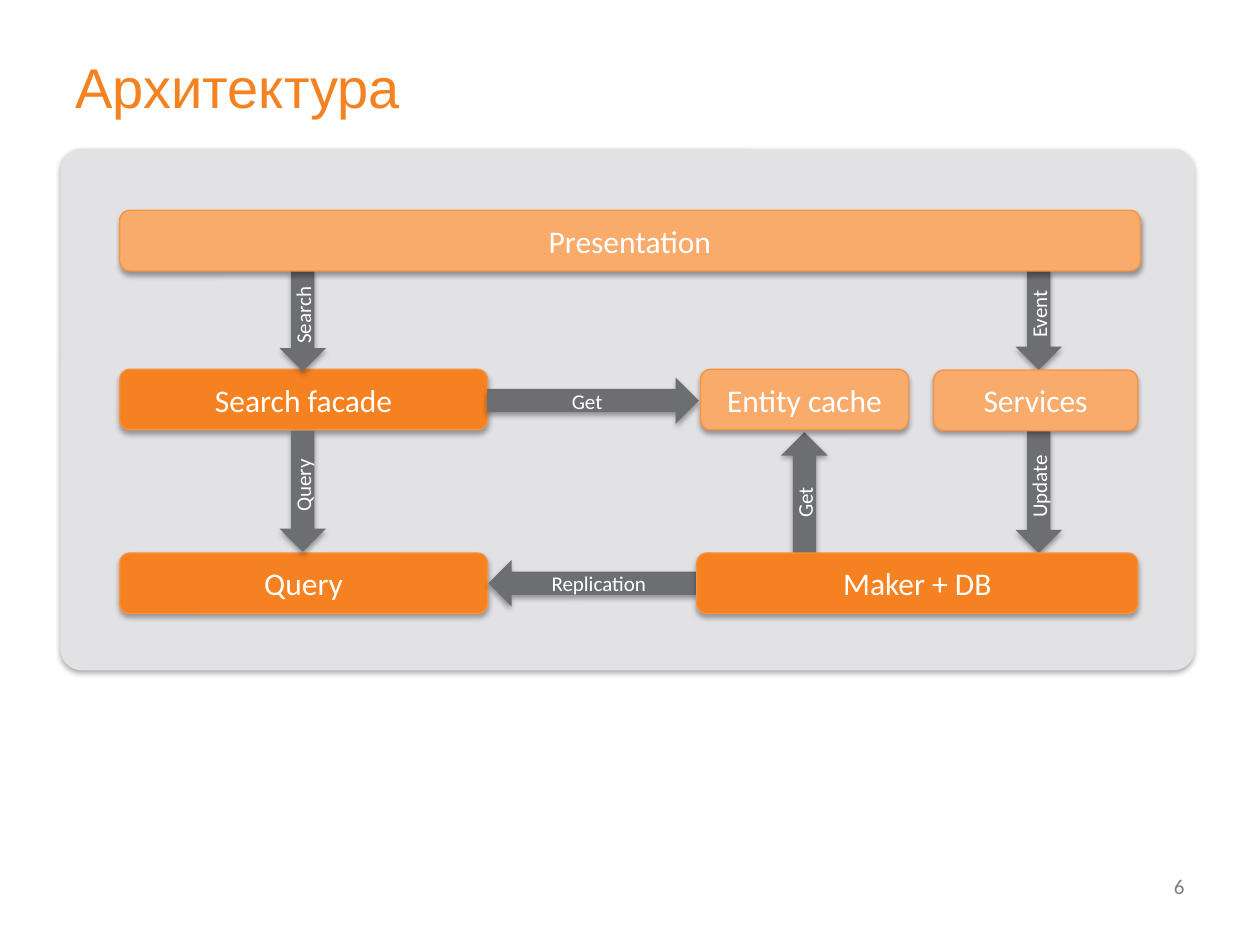
from dataclasses import dataclass

from lxml import etree
from pptx import Presentation
from pptx.dml.color import RGBColor
from pptx.enum.shapes import MSO_SHAPE
from pptx.enum.text import MSO_ANCHOR, PP_ALIGN
from pptx.oxml.ns import qn
from pptx.util import Pt

ROUNDED = MSO_SHAPE.ROUNDED_RECTANGLE
DOWN_ARROW = MSO_SHAPE.DOWN_ARROW
MIDDLE = MSO_ANCHOR.MIDDLE
LEFT, CENTER, RIGHT = PP_ALIGN.LEFT, PP_ALIGN.CENTER, PP_ALIGN.RIGHT


@dataclass(frozen=True)
class Theme:
    title: str = "F58220"
    panel: str = "E2E2E4"
    strong: str = "F68121"
    light: str = "F9AB6B"
    border: str = "F69240"
    arrow: str = "6D6E72"
    label: str = "FFFFFF"
    number: str = "7F7F7F"
    title_font: str = "Arial"
    body_font: str = "Calibri"
    title_size: float = 32
    box_size: float = 18
    small_size: float = 12


THEME = Theme()
LEFT_X, LEFT_W = 68.4, 210.2
BOX_H, ARROW_W = 34.6, 26.6
ROW_1, ROW_2, ROW_3 = 120.2, 211, 316
GAP_1 = (ROW_1 + BOX_H + ROW_2) / 2
GAP_2 = (ROW_2 + BOX_H + ROW_3) / 2
SEARCH_X, MIDDLE_X, CACHE_X, SERVICES_X = 173, 338.8, 459.7, 593.6

BACK_BOXES = [
    ("Search facade", LEFT_X, ROW_2, LEFT_W, THEME.strong),
    ("Query", LEFT_X, ROW_3, LEFT_W, THEME.strong),
]
FRONT_BOXES = [
    ("Services", 533.5, ROW_2 + 0.5, 116.6, THEME.light),
    ("Entity cache", 400.3, ROW_2, 118.8, THEME.light),
    ("Presentation", LEFT_X, ROW_1, 583.2, THEME.light),
    ("Maker + DB", 398.2, ROW_3, 252, THEME.strong),
]
ARROWS = [
    ("Event", SERVICES_X, GAP_1, 57, 0),
    ("Search", SEARCH_X, GAP_1 + 0.5, 57.6, 0),
    ("Update", SERVICES_X, GAP_2 + 0.4, 69.8, 0),
    ("Replication", MIDDLE_X, ROW_3 + BOX_H / 2, 119.5, 90),
    ("Query", SEARCH_X, GAP_2, 69.2, 0),
    ("Get", MIDDLE_X, ROW_2 + BOX_H / 2 + 0.6, 121, 270),
    ("Get", CACHE_X, 283.7, 73.4, 180),
]


def set_text(sp, text, size, color, font=THEME.body_font, align=CENTER):
    tf = sp.text_frame
    tf.word_wrap = True
    tf.vertical_anchor = MIDDLE
    p = tf.paragraphs[0]
    p.text = text
    p.alignment = align
    p.font.size = Pt(size)
    p.font.name = font
    p.font.color.rgb = RGBColor.from_string(color)


def add_shadow(sp):
    sp.shadow.inherit = False
    effects = sp._element.spPr.find(qn("a:effectLst"))
    shadow = etree.SubElement(effects, qn("a:outerShdw"), blurRad=str(Pt(3.1)),
                              dist=str(Pt(1.8)), dir="5400000", rotWithShape="0")
    color = etree.SubElement(shadow, qn("a:srgbClr"), val="000000")
    etree.SubElement(color, qn("a:alpha"), val="35000")


def add_block(s, kind, x, y, w, h, fill, border=None):
    sp = s.shapes.add_shape(kind, Pt(x), Pt(y), Pt(w), Pt(h))
    sp.fill.solid()
    sp.fill.fore_color.rgb = RGBColor.from_string(fill)
    if border:
        sp.line.color.rgb = RGBColor.from_string(border)
        sp.line.width = Pt(0.75)
    else:
        sp.line.fill.background()
    add_shadow(sp)
    return sp


def add_box(s, text, x, y, w, fill):
    sp = add_block(s, ROUNDED, x, y, w, BOX_H, fill, THEME.border)
    set_text(sp, text, THEME.box_size, THEME.label)


def add_arrow(s, text, cx, cy, length, rotation):
    sp = add_block(s, DOWN_ARROW, cx - ARROW_W / 2, cy - length / 2,
                   ARROW_W, length, THEME.arrow)
    sp.rotation = rotation
    set_text(sp, text, THEME.small_size, THEME.label)
    body = sp.text_frame._txBody.find(qn("a:bodyPr"))
    body.set("vert", "vert" if rotation >= 180 else "vert270")


def add_title(s, text):
    sp = s.shapes.title
    sp.left, sp.top, sp.width, sp.height = Pt(36), Pt(21.6), Pt(648), Pt(54.7)
    set_text(sp, text, THEME.title_size, THEME.title, THEME.title_font, LEFT)


def add_page_number(s, text):
    sp = s.shapes.add_textbox(Pt(516), Pt(492), Pt(168), Pt(28.8))
    set_text(sp, text, THEME.small_size, THEME.number, align=RIGHT)


def main():
    prs = Presentation()
    prs.slide_width, prs.slide_height = Pt(720), Pt(540)
    s = prs.slides.add_slide(prs.slide_layouts[5])
    add_title(s, "Архитектура")
    add_page_number(s, "6")
    panel = add_block(s, ROUNDED, 34.6, 85, 648, 298, THEME.panel)
    panel.adjustments[0] = 0.04
    for box in BACK_BOXES:
        add_box(s, *box)
    for arrow in ARROWS:
        add_arrow(s, *arrow)
    for box in FRONT_BOXES:
        add_box(s, *box)
    prs.save("out.pptx")


if __name__ == "__main__":
    main()
